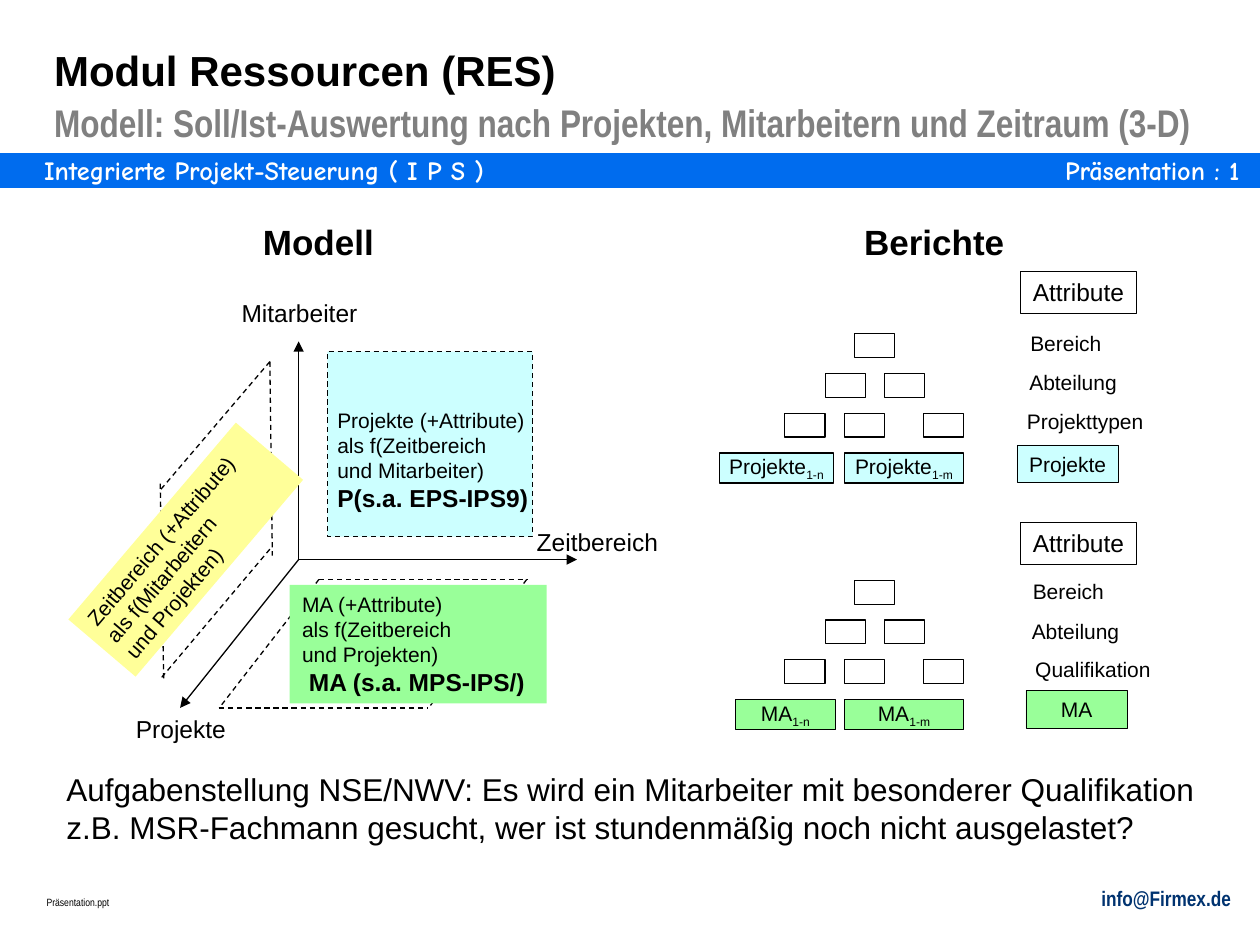
import pptx
import pptx.dml.color
import pptx.enum.dml
import pptx.enum.shapes
import pptx.enum.text
import pptx.util
from lxml import etree
from pptx.oxml.ns import qn

Cm = pptx.util.Cm
Pt = pptx.util.Pt
SHAPE = pptx.enum.shapes.MSO_SHAPE
ALIGN = pptx.enum.text.PP_ALIGN
ANCHOR = pptx.enum.text.MSO_ANCHOR

BLACK, WHITE, GREY, NAVY, BLUE = "000000", "FFFFFF", "808080", "003370", "006CEE"
CYAN, GREEN, YELLOW = "CCFFFF", "99FF99", "FFFF99"


def color(value):
    return pptx.dml.color.RGBColor.from_string(value)


class Sheet:
    font = "Arial"
    thin = 0.25
    normal = 0.75

    def __init__(self, deck):
        self.page = deck.slides.add_slide(deck.slide_layouts[5])

    def set_font(self, font, size, bold, ink, name=None):
        font.name = name or self.font
        font.size = Pt(size)
        font.bold = bold
        font.color.rgb = color(ink)

    def title(self, left, top, width, height, heading, subheading):
        box = self.page.shapes.title
        box.left, box.top, box.width, box.height = map(Cm, (left, top, width, height))
        frame = self.prepare(box, inset=False, anchor=ANCHOR.BOTTOM, wrap=True)
        para = frame.paragraphs[0]
        para.alignment = ALIGN.LEFT
        para.line_spacing = Pt(28.5)
        span = para.add_run()
        span.text = heading
        self.set_font(span.font, 24, True, BLACK)
        para.add_line_break()
        span = para.add_run()
        span.text = subheading
        self.set_font(span.font, 22, True, GREY, "Arial Narrow")

    def prepare(self, box, inset=True, anchor=ANCHOR.TOP, wrap=False):
        frame = box.text_frame
        frame.word_wrap = wrap
        frame.auto_size = pptx.enum.text.MSO_AUTO_SIZE.NONE
        frame.vertical_anchor = anchor
        frame.margin_left = frame.margin_right = Cm(0.25 if inset else 0)
        frame.margin_top = frame.margin_bottom = Cm(0.13 if inset else 0)
        return frame

    def put_lines(self, box, lines, size=12, bold=False, ink=BLACK, name=None,
                  align=ALIGN.LEFT, strong=None, index=None, **layout):
        frame = self.prepare(box, **layout)
        for number, line in enumerate(lines):
            para = frame.paragraphs[0] if number == 0 else frame.add_paragraph()
            para.alignment = align
            para.add_run().text = line
            self.set_font(para.font, size, bold, ink, name)
        if strong:
            para = frame.add_paragraph()
            para.alignment = align
            para.add_run().text = strong
            self.set_font(para.font, 14, True, ink, name)
        if index:
            span = para.add_run()
            span.text = index
            span.font._element.set("baseline", "-25000")

    def text(self, left, top, width, height, *lines, **style):
        box = self.page.shapes.add_textbox(*map(Cm, (left, top, width, height)))
        self.put_lines(box, lines, **style)

    def box(self, left, top, width, height, *lines, fill=None, line=None, weight=None,
            dashed=False, kind=SHAPE.RECTANGLE, rotation=0, **style):
        box = self.page.shapes.add_shape(kind, *map(Cm, (left, top, width, height)))
        box.shadow.inherit = False
        box.rotation = rotation
        if fill:
            box.fill.solid()
            box.fill.fore_color.rgb = color(fill)
        else:
            box.fill.background()
        if line:
            self.stroke(box.line, line, weight or self.normal, dashed)
        else:
            box.line.fill.background()
        if lines:
            self.put_lines(box, lines, **style)

    def stroke(self, line, ink, weight, dashed):
        line.color.rgb = color(ink)
        line.width = Pt(weight)
        if dashed:
            line.dash_style = pptx.enum.dml.MSO_LINE.DASH

    def line(self, start, end, dashed=False, arrow=False):
        line = self.page.shapes.add_connector(
            pptx.enum.shapes.MSO_CONNECTOR.STRAIGHT, *map(Cm, start + end))
        self.stroke(line.line, BLACK, self.normal, dashed)
        properties = line._element.spPr
        if arrow:
            etree.SubElement(properties.find(qn("a:ln")), qn("a:tailEnd"), type="triangle")
        etree.SubElement(properties, qn("a:effectLst"))

    def pyramid(self, top, fill, label, bases):
        pitch = 0.8
        rows = [[17.22], [16.64, 17.83], [15.82, 17.02, 18.62]]
        for number, row in enumerate(rows):
            for left in row:
                self.box(left, top + number * pitch, 0.81, 0.48, line=BLACK,
                         kind=SHAPE.FLOWCHART_PROCESS)
        for left, width, index in bases:
            self.box(left, top + len(rows) * pitch, width, 0.61, label, index=index,
                     fill=fill, line=BLACK, kind=SHAPE.FLOWCHART_PROCESS,
                     align=ALIGN.CENTER, anchor=ANCHOR.MIDDLE)


def build_frame(sheet):
    sheet.box(0, 3.12, 25.4, 0.64, fill=BLUE, line=BLUE, weight=2)
    band = dict(size=15, bold=True, ink=WHITE, name="Comic Neue", inset=False, wrap=True)
    sheet.text(0.89, 3.12, 18, 0.64, "Integrierte Projekt-Steuerung ( I P S )", **band)
    sheet.text(19.3, 3.12, 5.69, 0.64, "Präsentation : 1", align=ALIGN.RIGHT, **band)
    sheet.text(14.71, 17.73, 10.36, 0.76, "info@Firmex.de", size=12, bold=True, ink=NAVY,
               name="Arial Narrow", align=ALIGN.RIGHT, wrap=True)
    sheet.text(0.69, 17.93, 10.36, 0.51, "Präsentation.ppt", size=6,
               name="Arial Narrow", wrap=True)
    sheet.title(1.09, 0.91, 23.34, 2.01, "Modul Ressourcen (RES) ",
                "Modell: Soll/Ist-Auswertung nach Projekten, Mitarbeitern und Zeitraum (3-D)")


def build_model(sheet):
    origin = (6.02, 11.28)
    for end in [(6.02, 6.88), (11.63, 11.28), (3.63, 14.27)]:
        sheet.line(origin, end, arrow=True)
    sheet.box(6.6, 7.09, 4.14, 3.73, fill=CYAN, line=BLACK, dashed=True)
    floor = [((6.43, 11.68), (10.62, 11.68)), ((6.43, 11.68), (4.42, 14.27)),
             ((10.62, 11.68), (8.64, 14.27)), ((4.42, 14.27), (8.61, 14.27))]
    side = [((5.44, 11.07), (3.23, 13.69)), ((5.44, 7.29), (5.49, 11.2)),
            ((3.23, 9.75), (3.3, 13.69)), ((5.44, 7.29), (3.23, 9.88))]
    for start, end in floor + side:
        sheet.line(start, end, dashed=True)
    for left, top, width, label in [(10.57, 10.49, 2.95, "Zeitbereich"),
                                    (4.62, 5.87, 2.84, "Mitarbeiter"),
                                    (2.49, 14.27, 2.31, "Projekte")]:
        sheet.text(left, top, width, 0.86, label, size=14)
    sheet.box(5.84, 11.79, 5.18, 2.39, "MA (+Attribute)", "als f(Zeitbereich",
              "und Projekten)", strong=" MA (s.a. MPS-IPS/)", fill=GREEN, wrap=True)
    sheet.text(6.55, 8.08, 4.34, 2.39, "Projekte (+Attribute)", "als f(Zeitbereich",
               "und Mitarbeiter)", strong="P(s.a. EPS-IPS9)")
    sheet.box(1.14, 10.19, 5.21, 1.78, "Zeitbereich (+Attribute)", "als f(Mitarbeitern",
              "und Projekten)", fill=YELLOW, rotation=310.4, wrap=True)
    sheet.text(5.05, 4.32, 2.74, 1.12, "Modell", size=20, bold=True)


def build_reports(sheet):
    sheet.text(17.17, 4.32, 3.33, 1.12, "Berichte", size=20, bold=True)
    sheet.pyramid(6.73, CYAN, "Projekte", [(14.5, 2.31, "1-n"), (17.02, 2.41, "1-m")])
    sheet.pyramid(11.7, GREEN, "MA", [(14.83, 2.01, "1-n"), (17.02, 2.41, "1-m")])
    for top in (5.46, 10.52):
        sheet.box(20.57, top, 2.34, 0.86, "Attribute", size=14, line=BLACK,
                  weight=sheet.thin)
    for left, top, width, label in [(20.52, 6.53, 1.93, "Bereich"),
                                    (20.5, 7.32, 2.26, "Abteilung"),
                                    (20.45, 8.1, 2.84, "Projekttypen"),
                                    (20.57, 11.53, 1.93, "Bereich"),
                                    (20.55, 12.34, 2.26, "Abteilung"),
                                    (20.62, 13.11, 2.82, "Qualifikation")]:
        sheet.text(left, top, width, 0.76, label)
    for left, top, label, fill in [(20.5, 8.97, "Projekte", CYAN),
                                   (20.68, 13.92, "MA", GREEN)]:
        sheet.box(left, top, 2.05, 0.76, label, fill=fill, line=BLACK,
                  weight=sheet.thin, align=ALIGN.CENTER)


def main():
    deck = pptx.Presentation()
    deck.slide_width = Cm(25.4)
    deck.slide_height = Cm(19.05)
    sheet = Sheet(deck)
    build_frame(sheet)
    build_model(sheet)
    build_reports(sheet)
    sheet.text(1.09, 15.39, 23.44, 1.78,
               "Aufgabenstellung NSE/NWV: Es wird ein Mitarbeiter mit besonderer Qualifikation",
               "z.B. MSR-Fachmann gesucht, wer ist stundenmäßig noch nicht ausgelastet?",
               size=18)
    deck.save("out.pptx")


if __name__ == "__main__":
    main()
